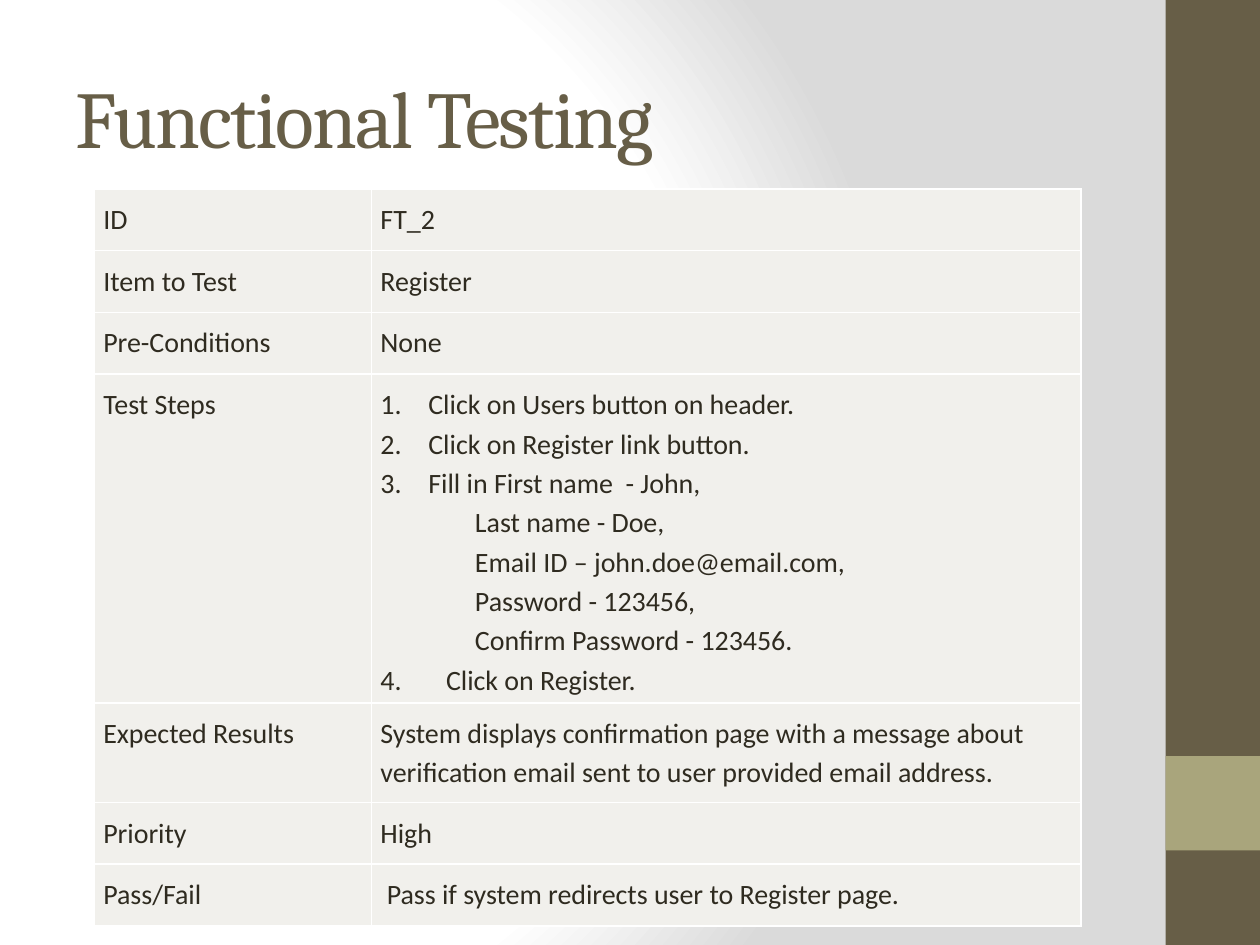
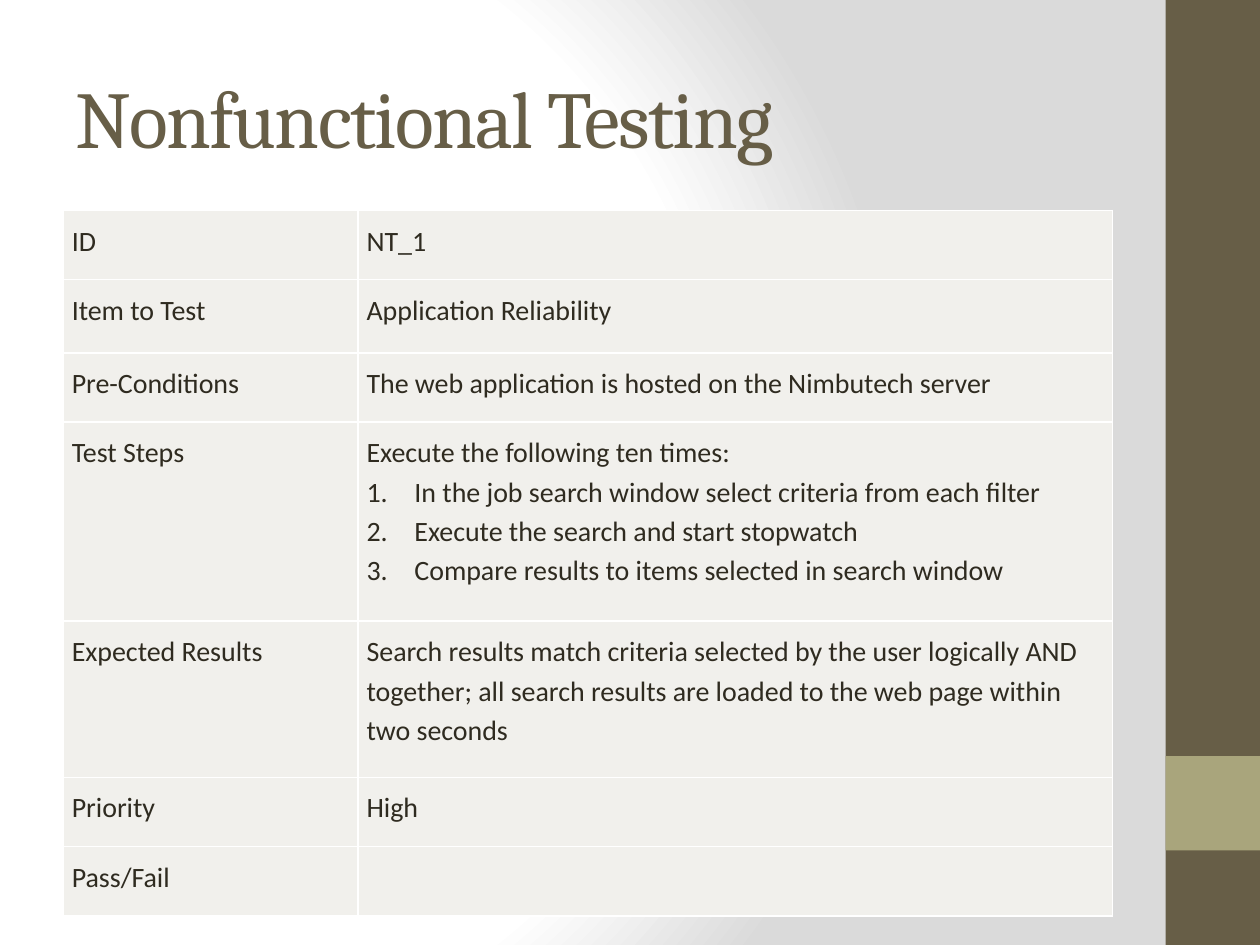
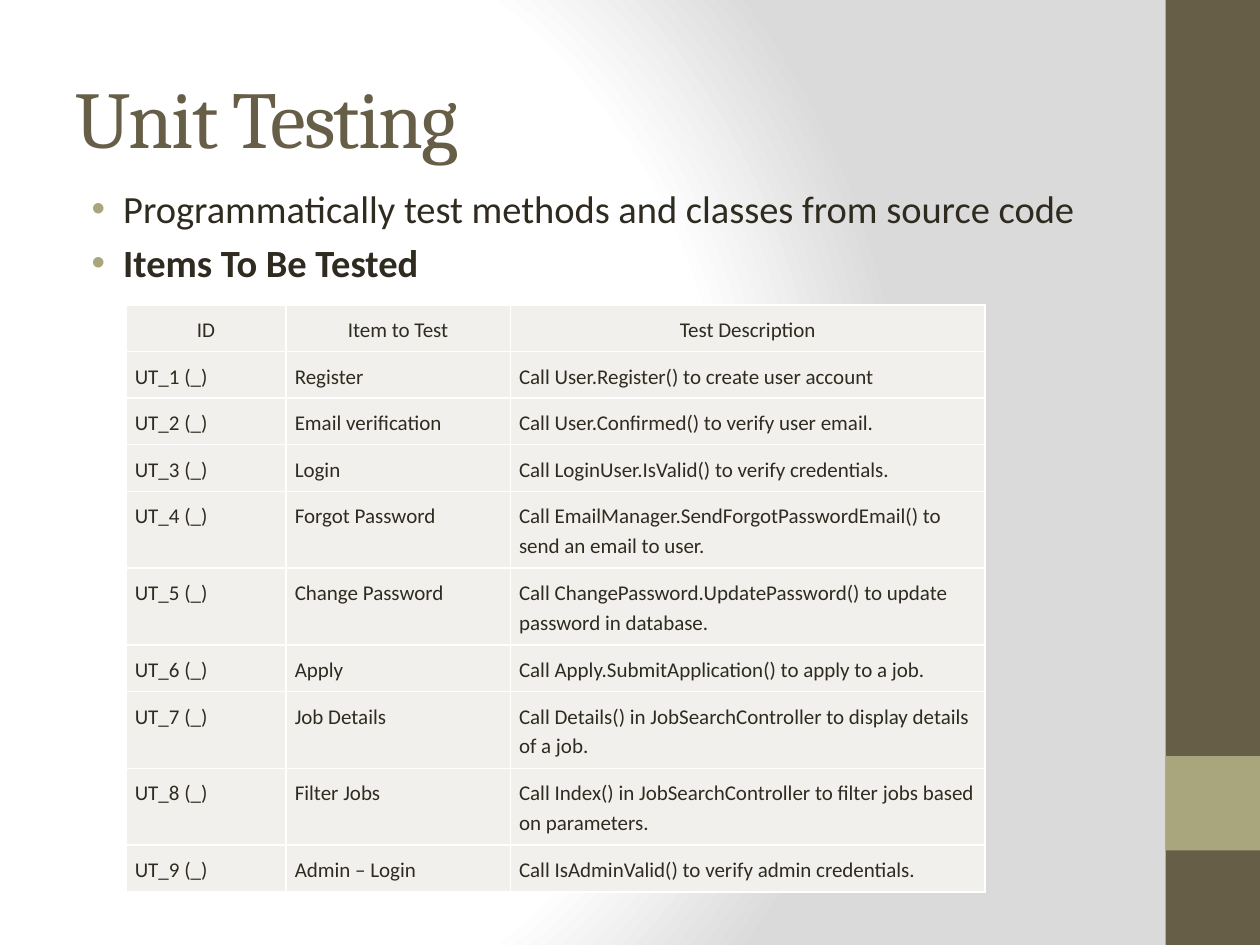
from pptx import Presentation
from pptx.dml.color import RGBColor
from pptx.enum.shapes import MSO_SHAPE
from pptx.enum.text import MSO_ANCHOR, PP_ALIGN
from pptx.oxml import parse_xml
from pptx.oxml.ns import nsdecls
from pptx.util import Inches, Pt

RECT, MIDDLE, CENTER = MSO_SHAPE.RECTANGLE, MSO_ANCHOR.MIDDLE, PP_ALIGN.CENTER

BROWN = RGBColor(0x67, 0x5E, 0x47)
OLIVE = RGBColor(0xA9, 0xA5, 0x7C)
INK = RGBColor(0x2F, 0x2B, 0x20)
PALE = RGBColor(0xF1, 0xF0, 0xEC)
WHITE = RGBColor(0xFF, 0xFF, 0xFF)
GREY = RGBColor(0xDA, 0xDA, 0xDA)

# Text formats
TITLE = {"name": "Cambria", "size": Pt(46), "color": BROWN}
BODY = {"name": "Calibri", "size": Pt(22), "color": INK}
BOLD = {**BODY, "bold": True}
CELL = {"name": "Calibri", "size": Pt(16), "color": INK}
SMALL = {**CELL, "size": Pt(12)}

# Paragraph kinds: left margin, first-line indent, bullet
NUMBER = '<a:buFont %s typeface="+mj-lt"/>', '<a:buAutoNum %s type="arabicPeriod"/>'
DOT = (f'<a:buClr %s><a:srgbClr val="{OLIVE}"/></a:buClr>',
       '<a:buFont %s typeface="Arial"/>', '<a:buChar %s char="•"/>')
KINDS = {
    "plain": (0, 0, ()),
    "number": (0.38, -0.38, NUMBER),
    "deep": (0.75, 0, ()),
    "last": (0.52, -0.52, ()),
    "dot": (0.38, -0.25, DOT),
}

# Content
LABELS = ["ID", "Item to Test", "Pre-Conditions", "Test Steps",
          "Expected Results", "Priority", "Pass/Fail"]
CASES = [
    {
        "title": "Functional Testing",
        "at": (0.75, 1.5),
        "cols": [2.2, 5.63],
        "rows": [0.49, 0.49, 0.49, 2.61, 0.79, 0.49, 0.49],
        "values": [
            "FT_2",
            "Register",
            "None",
            [("number", "Click on Users button on header."),
             ("number", "Click on Register link button."),
             ("number", "Fill in First name  - John, "),
             ("deep", "Last name - Doe, "),
             ("deep", "Email ID – john.doe@email.com, "),
             ("deep", "Password - 123456, "),
             ("deep", "Confirm Password - 123456."),
             ("last", "4.\tClick on Register.")],
            "System displays confirmation page with a message about "
            "verification email sent to user provided email address.",
            "High",
            " Pass if system redirects user to Register page.",
        ],
    },
    {
        "title": "Nonfunctional Testing",
        "at": (0.5, 1.67),
        "cols": [2.34, 5.99],
        "rows": [0.55, 0.58, 0.55, 1.58, 1.24, 0.55, 0.55],
        "values": [
            "NT_1",
            "Application Reliability",
            "The web application is hosted on the Nimbutech server",
            [("plain", "Execute the following ten times:"),
             ("number", "In the job search window select criteria from each filter"),
             ("number", "Execute the search and start stopwatch"),
             ("number", "Compare results to items selected in search window")],
            "Search results match criteria selected by the user logically AND "
            "together; all search results are loaded to the web page within "
            "two seconds",
            "High",
            "",
        ],
    },
]
HEADS = ["ID", "Item to Test", "Test Description"]
UNITS = [
    ("Register", "Call User.Register() to create user account"),
    ("Email verification", "Call User.Confirmed() to verify user email."),
    ("Login", "Call LoginUser.IsValid() to verify credentials."),
    ("Forgot Password",
     "Call EmailManager.SendForgotPasswordEmail() to send an email to user."),
    ("Change Password",
     "Call ChangePassword.UpdatePassword() to update password in database."),
    ("Apply", "Call Apply.SubmitApplication() to apply to a job."),
    ("Job Details",
     "Call Details() in JobSearchController to display details of a job."),
    ("Filter Jobs",
     "Call Index() in JobSearchController to filter jobs based on parameters."),
    ("Admin – Login", "Call IsAdminValid() to verify admin credentials."),
]
POINTS = [("Programmatically test methods and classes from source code", BODY),
          ("Items To Be Tested", BOLD)]

# Side bands: left, top, width, height, colour
BANDS = [(9.25, 0, 0.75, 7.5, BROWN), (9.25, 6, 0.75, 0.75, OLIVE)]
STOPS = [(0, WHITE), (75, WHITE), (100, GREY)]


def xml(text):
    return parse_xml(text.replace("%s", nsdecls("a"), 1))


def write(para, text, style, kind="plain"):
    left, first, marks = KINDS[kind]
    props = para._p.get_or_add_pPr()
    props.set("marL", str(Inches(left)))
    props.set("indent", str(Inches(first)))
    for mark in marks:
        props.append(xml(mark))
    run = para.add_run()
    run.text = text
    for key, val in style.items():
        if key == "color":
            run.font.color.rgb = val
        else:
            setattr(run.font, key, val)
    return run


def add_box(slide, *at):
    frame = slide.shapes.add_textbox(*map(Inches, at)).text_frame
    frame.word_wrap = True
    return frame


def add_page(title):
    slide = deck.slides.add_slide(deck.slide_layouts[6])
    # Background glow
    stops = "".join(f'<a:gs pos="{pos * 1000}"><a:srgbClr val="{color}"/></a:gs>'
                    for pos, color in STOPS)
    slide.element.cSld.insert(0, parse_xml(
        f'<p:bg {nsdecls("p", "a")}><p:bgPr><a:gradFill rotWithShape="1">'
        f'<a:gsLst>{stops}</a:gsLst><a:path path="circle">'
        '<a:fillToRect l="20000" t="50000" r="100000" b="50000"/></a:path>'
        '</a:gradFill><a:effectLst/></p:bgPr></p:bg>'))
    # Side bands
    for *at, color in BANDS:
        band = slide.shapes.add_shape(RECT, *map(Inches, at))
        band.shadow.inherit = False
        band.fill.solid()
        band.fill.fore_color.rgb = color
        band.line.fill.background()
    # Title
    frame = add_box(slide, 0.5, 0.3, 8.33, 1.25)
    frame.vertical_anchor = MIDDLE
    run = write(frame.paragraphs[0], title, TITLE)
    run.font._element.set("spc", "-100")
    return slide


def fill_cell(cell, lines, style, align):
    for side in ("left", "right", "top", "bottom"):
        setattr(cell, "margin_" + side, Inches(0.07))
    props = cell._tc.get_or_add_tcPr()
    for edge in "LRTB":
        props.append(xml(f'<a:ln{edge} %s w="12700"><a:solidFill>'
                         f'<a:srgbClr val="{WHITE}"/></a:solidFill></a:ln{edge}>'))
    cell.fill.solid()
    cell.fill.fore_color.rgb = PALE
    if isinstance(lines, str):
        lines = [("plain", lines)] if lines else []
    frame = cell.text_frame
    for i, (kind, text) in enumerate(lines):
        para = frame.add_paragraph() if i else frame.paragraphs[0]
        para.line_spacing = 1.15
        para.alignment = align
        write(para, text, style, kind)


def add_grid(slide, at, cols, rows, cells, style, head=None):
    size = (*at, sum(cols), sum(rows))
    grid = slide.shapes.add_table(len(rows), len(cols), *map(Inches, size)).table
    grid.first_row = grid.horz_banding = False
    for col, width in zip(grid.columns, cols):
        col.width = Inches(width)
    for r, (row, high) in enumerate(zip(grid.rows, rows)):
        row.height = Inches(high)
        for cell, lines in zip(row.cells, cells[r]):
            fill_cell(cell, lines, style, None if r else head)


deck = Presentation()
deck.slide_width, deck.slide_height = Inches(10), Inches(7.5)

# Test case slides
for case in CASES:
    slide = add_page(case["title"])
    cells = list(zip(LABELS, case["values"]))
    add_grid(slide, case["at"], case["cols"], case["rows"], cells, CELL)

# Unit test slide
slide = add_page("Unit Testing")
frame = add_box(slide, 0.5, 1.42, 8.33, 5.58)
for i, (text, style) in enumerate(POINTS):
    para = frame.add_paragraph() if i else frame.paragraphs[0]
    para.space_before = Pt(4.4)
    write(para, text, style, "dot")
cells = [HEADS] + [(f"UT_{n} (_)", *unit) for n, unit in enumerate(UNITS, 1)]
rows = [0.61 if len(row[-1]) > 50 else 0.37 for row in cells]
add_grid(slide, (1, 2.42), [1.27, 1.78, 3.77], rows, cells, SMALL, CENTER)

deck.save("out.pptx")
